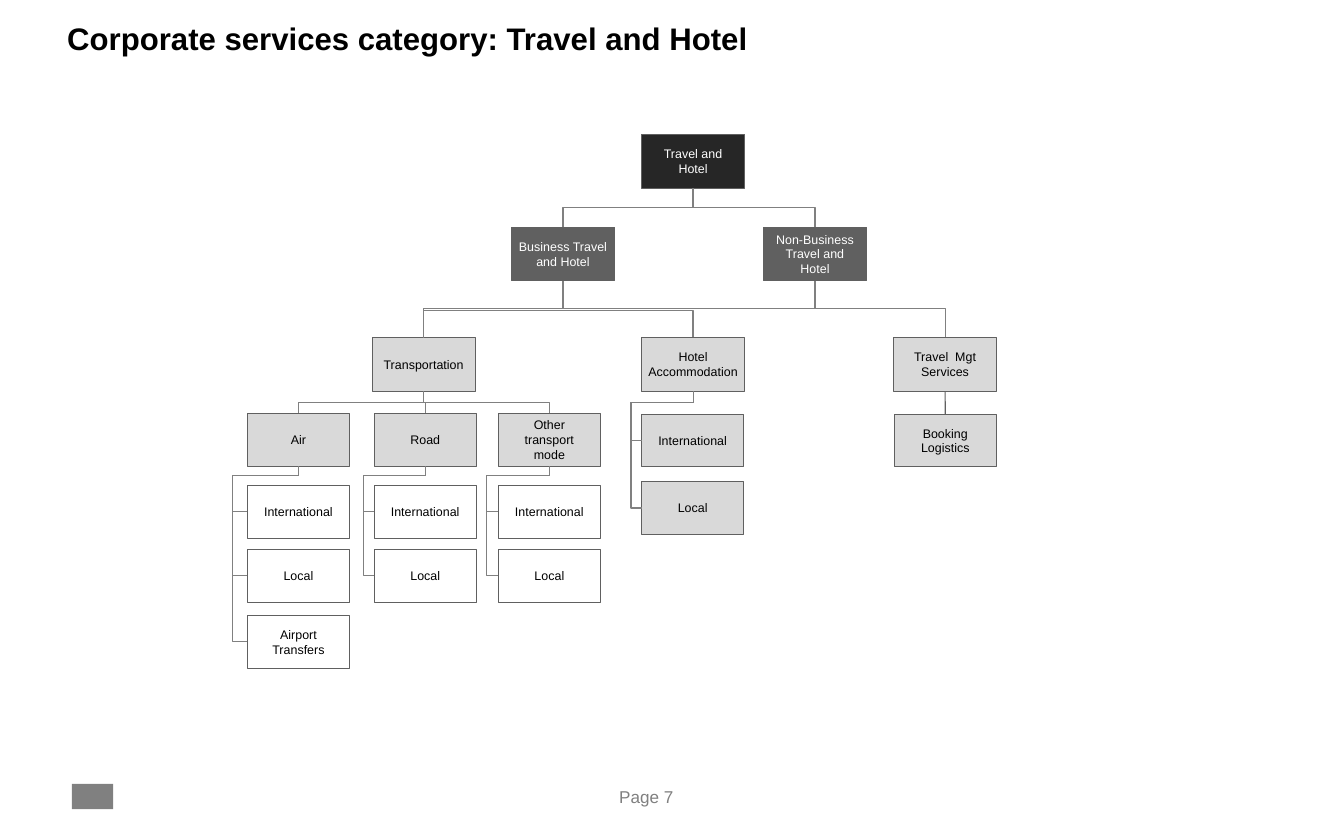
from lxml.etree import SubElement
from pptx import Presentation
from pptx.dml.color import RGBColor
from pptx.enum.shapes import MSO_CONNECTOR as CONNECTOR, MSO_SHAPE as SHAPE
from pptx.enum.text import MSO_ANCHOR as ANCHOR, PP_ALIGN as ALIGN
from pptx.oxml.ns import qn
from pptx.util import Pt

BLACK, WHITE = "000000", "FFFFFF"
DARK, MEDIUM, LIGHT, GREY = "262626", "606060", "D9D9D9", "808080"


def color(value):
    return RGBColor.from_string(value)


class TreeSlide:
    """Style and drawing methods for one slide; all lengths are in points."""

    font = "Arial"

    def __init__(self, presentation):
        self.slide = presentation.slides.add_slide(presentation.slide_layouts[5])
        self.shapes = self.slide.shapes

    def add_text(self, frame, text, size, ink, bold=False, align=ALIGN.LEFT,
                 anchor=ANCHOR.TOP, side=0, edge=0):
        frame.word_wrap = True
        frame.vertical_anchor = anchor
        frame.margin_left = frame.margin_right = Pt(side)
        frame.margin_top = frame.margin_bottom = Pt(edge)
        paragraph = frame.paragraphs[0]
        paragraph.alignment = align
        run = paragraph.add_run()
        run.text = text
        run.font.name, run.font.size, run.font.bold = self.font, Pt(size), bold
        run.font.color.rgb = color(ink)
        return paragraph

    def title(self, text, left, top, width, height):
        shape = self.shapes.title
        shape.left, shape.top = Pt(left), Pt(top)
        shape.width, shape.height = Pt(width), Pt(height)
        paragraph = self.add_text(shape.text_frame, text, 20, BLACK, bold=True)
        paragraph.line_spacing = 0.85

    def label(self, text, left, top, width, height):
        shape = self.shapes.add_textbox(Pt(left), Pt(top), Pt(width), Pt(height))
        self.add_text(shape.text_frame, text, 11, GREY)

    def rectangle(self, left, top, width, height, fill, line=None):
        shape = self.shapes.add_shape(
            SHAPE.RECTANGLE, Pt(left), Pt(top), Pt(width), Pt(height))
        shape.shadow.inherit = False
        shape.fill.solid()
        shape.fill.fore_color.rgb = color(fill)
        if line:
            shape.line.color.rgb = color(line)
            shape.line.width = Pt(0.5)
        else:
            shape.line.fill.background()
        return shape

    def box(self, text, left, top, fill, size=(65.8, 33.9), side=7.2):
        shape = self.rectangle(left, top, *size, fill, MEDIUM)
        ink = WHITE if fill in (DARK, MEDIUM) else BLACK
        self.add_text(shape.text_frame, text, 8, ink, align=ALIGN.CENTER,
                      anchor=ANCHOR.MIDDLE, side=side, edge=3.6)
        return shape

    def connector(self, kind, start, end, line=GREY):
        shape = self.shapes.add_connector(kind, *map(Pt, start + end))
        shape.line.color.rgb = color(line)
        shape.line.width = Pt(0.75)
        SubElement(shape._element.spPr, qn("a:effectLst"))
        return shape

    def straight(self, start, end, line=GREY):
        self.connector(CONNECTOR.STRAIGHT, start, end, line)

    def elbow(self, start, end, rail_y, rail_x=None):
        """Leave start vertically, turn at rail_y and, if given, again at rail_x."""
        (x1, y1), (x2, y2) = start, end
        dx, dy = x2 - x1, y2 - y1
        shape = self.connector(CONNECTOR.ELBOW, start, end)
        # The frame lies on its side around the midpoint of both ends
        shape.width, shape.height = Pt(abs(dy)), Pt(abs(dx))
        shape.left = Pt((x1 + x2 - abs(dy)) / 2)
        shape.top = Pt((y1 + y2 - abs(dx)) / 2)
        frame = shape._element.spPr.find(qn("a:xfrm"))
        frame.set("rot", str((270 if dx > 0 and dy > 0 else 90) * 60000))
        frame.set("flipH", str(int(dx > 0)))
        frame.set("flipV", str(int(dy < 0)))
        # Turning points as shares of the frame
        shares = [(rail_y - y1) / dy]
        if rail_x is not None:
            shares.append((rail_x - x1) / dx)
        geometry = shape._element.spPr.find(qn("a:prstGeom"))
        geometry.set("prst", f"bentConnector{len(shares) + 2}")
        guides = geometry.find(qn("a:avLst"))
        if guides is None:
            guides = SubElement(geometry, qn("a:avLst"))
        for number, share in enumerate(shares, 1):
            SubElement(guides, qn("a:gd"), name=f"adj{number}",
                       fmla=f"val {round(share * 100000)}")

    def branch(self, parent, child):
        start, end = bottom(parent), top(child)
        self.elbow(start, end, (start[1] + end[1]) / 2)

    def side_branch(self, parent, child, drop, gap):
        start, end = bottom(parent), left_side(child)
        self.elbow(start, end, start[1] + drop, end[0] - gap)


def top(shape):
    return (shape.left + shape.width / 2) / Pt(1), shape.top / Pt(1)


def bottom(shape):
    return top(shape)[0], (shape.top + shape.height) / Pt(1)


def left_side(shape):
    return shape.left / Pt(1), (shape.top + shape.height / 2) / Pt(1)


def main():
    presentation = Presentation()
    presentation.slide_width, presentation.slide_height = Pt(864), Pt(540)
    tree = TreeSlide(presentation)
    large = (66.3, 34.5)

    # Title and footer, with a plain block for the brand mark
    tree.title("Corporate services category: Travel and Hotel", 43.2, 16, 777.6, 28.8)
    tree.label("Page 7", 398, 505.4, 68, 16)
    tree.rectangle(46.2, 504, 26.6, 16.2, GREY)

    # Top two levels
    root = tree.box("Travel and Hotel", 412.4, 86.4, DARK, large)
    business = tree.box("Business Travel and Hotel", 328.8, 146, MEDIUM, large, 0)
    private = tree.box("Non-Business Travel and Hotel", 490.8, 146, MEDIUM, large)
    for group in (business, private):
        tree.branch(root, group)

    # Service level, hanging from a shared rail
    service_y, rail_y = 216.9, 198.5
    transport = tree.box("Transportation", 239.2, service_y, LIGHT, large, 0)
    hotel = tree.box("Hotel Accommodation", 412.4, service_y, LIGHT, large, 0)
    management = tree.box("Travel  Mgt Services", 574.4, service_y, LIGHT, large)
    for service, rail in ((management, rail_y), (hotel, rail_y + 1)):
        x, y = top(transport)
        tree.elbow((x, y + 0.4), top(service), rail)
    for group in (business, private):
        x, y = bottom(group)
        tree.straight((x, y), (x, rail_y))

    # Transport modes and their options
    option_rows = (312.1, 353.1, 395.6)
    modes = (
        ("Air", 159, 9.6, ("International", "Local", "Airport Transfers")),
        ("Road", 240.5, 6.9, ("International", "Local")),
        ("Other transport mode", 320.3, 7.8, ("International", "Local")),
    )
    for name, left, gap, options in modes:
        mode = tree.box(name, left, 265.8, LIGHT)
        tree.branch(transport, mode)
        for option, row in zip(options, option_rows):
            tree.side_branch(mode, tree.box(option, left, row, WHITE), 5.9, gap)

    # Hotel options
    for option, row in (("International", 266.3), ("Local", 309.6)):
        tree.side_branch(hotel, tree.box(option, 412.4, row, LIGHT), 7.3, 6.8)

    # Travel management
    booking = tree.box("Booking Logistics", 574.8, 266.3, LIGHT)
    tree.straight(bottom(management), top(booking), MEDIUM)

    presentation.save("out.pptx")


if __name__ == "__main__":
    main()
